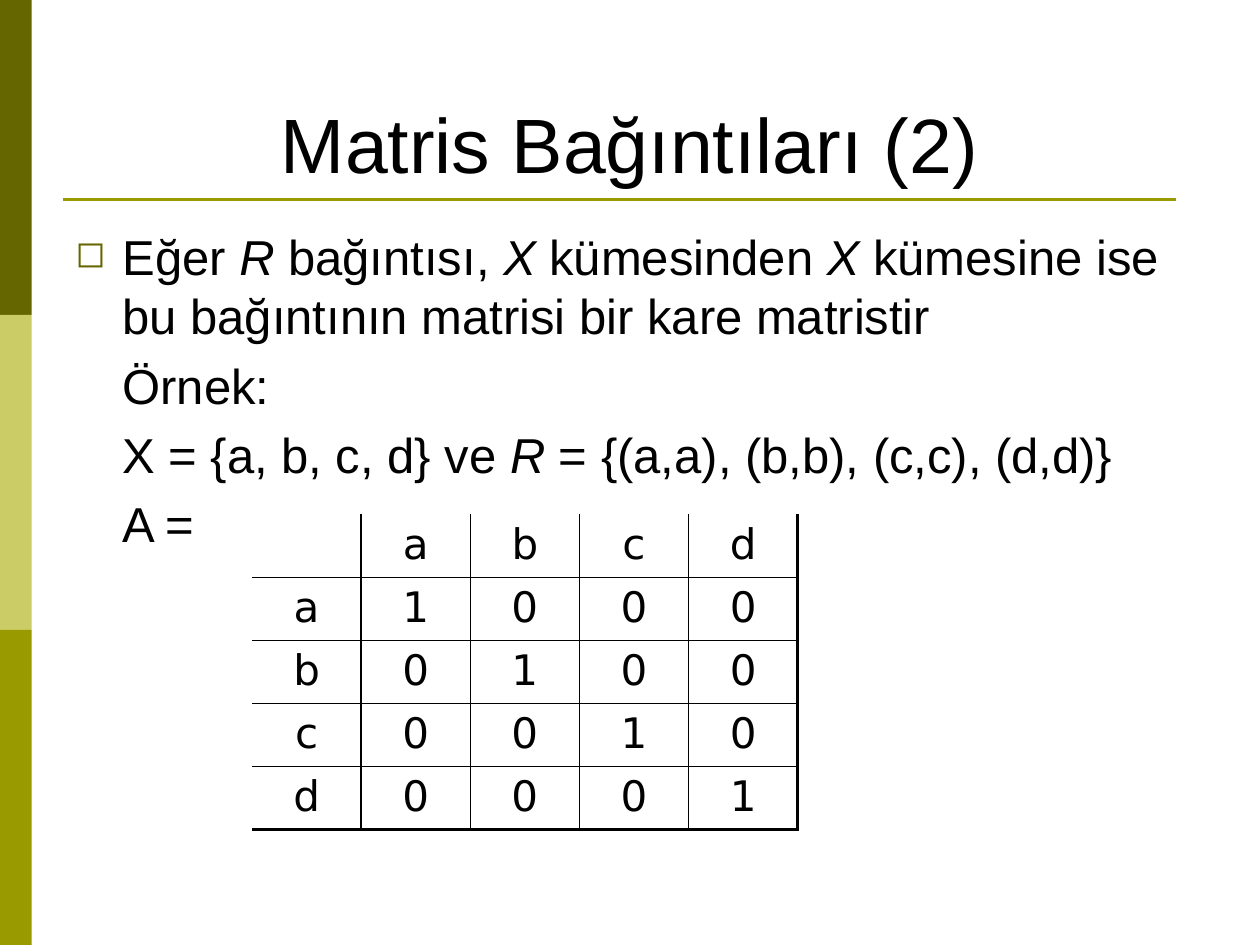
"""Build a slide on the matrix of a relation from a set to itself."""
import dataclasses

import pptx
import pptx.dml.color
import pptx.enum.shapes
import pptx.enum.text
import pptx.oxml
import pptx.oxml.ns
import pptx.util

Cm = pptx.util.Cm
Pt = pptx.util.Pt
RGB = pptx.dml.color.RGBColor.from_string
ALIGN = pptx.enum.text.PP_ALIGN
ANCHOR = pptx.enum.text.MSO_ANCHOR
NS = pptx.oxml.ns.nsdecls("a")


@dataclasses.dataclass(frozen=True)
class Theme:
    ink: str = "000000"
    dark: str = "666600"
    light: str = "CCCC66"
    olive: str = "999900"
    sans: str = "Arial"
    grid: str = "DejaVu Sans"
    title: int = 44
    body: int = 28
    cell: int = 24


theme = Theme()


def write(para, text, *, size, font=theme.sans, color=theme.ink, align=ALIGN.LEFT, before=0):
    """Fill a paragraph; parts between underscores are italic."""
    para.alignment = align
    para.space_before = Pt(before)
    for i, part in enumerate(text.split("_")):
        run = para.add_run()
        run.text = part
        run.font.size = Pt(size)
        run.font.name = font
        run.font.italic = i % 2 == 1
        run.font.color.rgb = RGB(color)


def edge(cell, side, width):
    """Draw one cell border, or clear it when the width is zero."""
    fill = f'<a:solidFill><a:srgbClr val="{theme.ink}"/></a:solidFill>' if width else "<a:noFill/>"
    line = pptx.oxml.parse_xml(f'<a:ln{side} {NS} w="{Pt(width)}">{fill}</a:ln{side}>')
    cell._tc.get_or_add_tcPr().append(line)


deck = pptx.Presentation()
deck.slide_width = Cm(25.4)
deck.slide_height = Cm(19.05)
slide = deck.slides.add_slide(deck.slide_layouts[6])
shapes = slide.shapes

for i, color in enumerate((theme.dark, theme.light, theme.olive)):
    band = shapes.add_shape(pptx.enum.shapes.MSO_SHAPE.RECTANGLE, 0, Cm(6.35 * i), Cm(0.64), Cm(6.35))
    band.shadow.inherit = False
    band.fill.solid()
    band.fill.fore_color.rgb = RGB(color)
    band.line.fill.background()

rule = shapes.add_connector(pptx.enum.shapes.MSO_CONNECTOR.STRAIGHT, Cm(1.27), Cm(4.02), Cm(23.7), Cm(4.02))
rule.line.color.rgb = RGB(theme.olive)
rule.line.width = Pt(1.5)
rule._element.spPr.append(pptx.oxml.parse_xml(f"<a:effectLst {NS}/>"))

title = shapes.add_textbox(Cm(1.27), Cm(0.76), Cm(22.86), Cm(3.18)).text_frame
title.word_wrap = True
title.vertical_anchor = ANCHOR.BOTTOM
write(title.paragraphs[0], "Matris Bağıntıları (2)", size=theme.title, align=ALIGN.CENTER)

body = shapes.add_textbox(Cm(1.27), Cm(4.45), Cm(22.86), Cm(12.57)).text_frame
body.word_wrap = True
lines = (
    "Eğer _R_ bağıntısı, _X_ kümesinden _X_ kümesine ise bu bağıntının matrisi bir kare matristir",
    "Örnek:",
    "X = {a, b, c, d} ve _R_ = {(a,a), (b,b), (c,c), (d,d)}",
    "A =",
)
bullet = (
    f'<a:buClr {NS}><a:srgbClr val="{theme.dark}"/></a:buClr>',
    f'<a:buSzPct {NS} val="75000"/>',
    f'<a:buChar {NS} char="◻"/>',
)
for i, text in enumerate(lines):
    para = body.add_paragraph() if i else body.paragraphs[0]
    props = para._p.get_or_add_pPr()
    props.set("marL", str(Cm(0.95)))
    props.set("indent", str(0 if i else -Cm(0.95)))
    if i == 0:
        for item in bullet:
            props.append(pptx.oxml.parse_xml(item))
    write(para, text, size=theme.body, before=6 if i else 0)

names = "abcd"
rows = [["", *names]]
rows += [[row, *("1" if row == col else "0" for col in names)] for row in names]
last = len(names)
table = shapes.add_table(last + 1, last + 1, Cm(5.08), Cm(10.37), Cm(11), Cm(6.2)).table
table.first_row = False
table.horz_banding = False
for r, row in enumerate(rows):
    table.rows[r].height = Cm(1.24)
    for c, text in enumerate(row):
        table.columns[c].width = Cm(2.2)
        cell = table.cell(r, c)
        edge(cell, "L", 1 if c else 0)
        edge(cell, "R", 2.25 if c == last else 1)
        edge(cell, "T", 1 if r else 0)
        edge(cell, "B", 2.25 if r == last else 1)
        cell.fill.background()
        write(cell.text_frame.paragraphs[0], text, size=theme.cell, font=theme.grid, align=ALIGN.CENTER)

deck.save("out.pptx")
